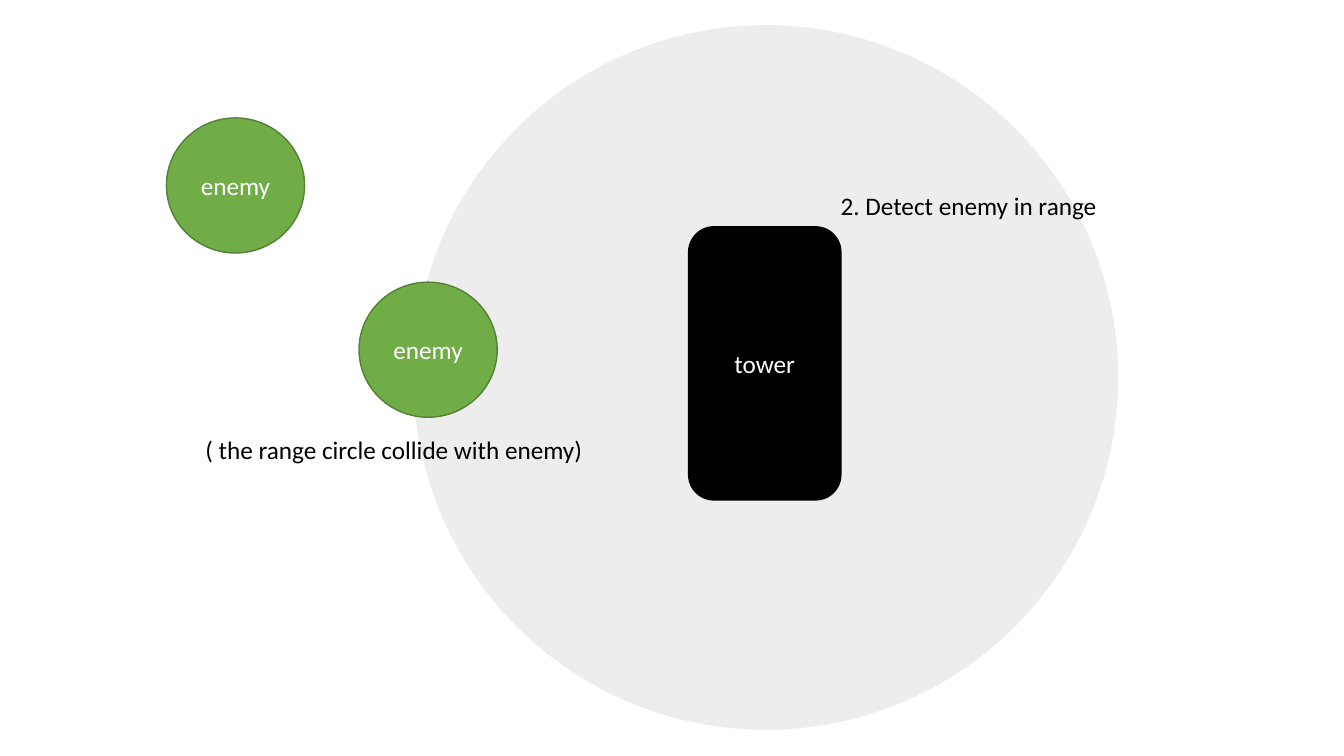
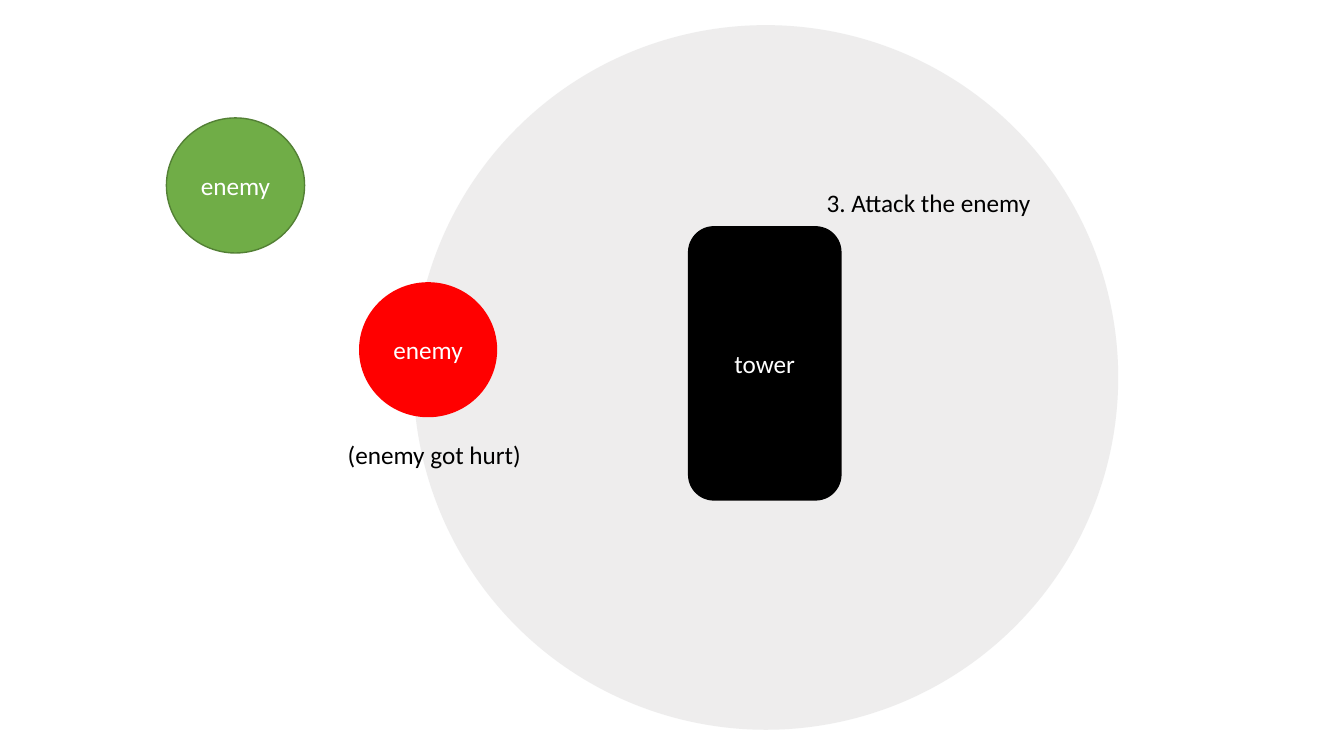
from lxml import etree
from pptx import Presentation
from pptx.dml.color import RGBColor
from pptx.enum.shapes import MSO_SHAPE
from pptx.enum.text import MSO_ANCHOR, MSO_AUTO_SIZE, PP_ALIGN
from pptx.oxml.ns import qn
from pptx.util import Inches, Pt

DISC = MSO_SHAPE.FLOWCHART_CONNECTOR
OVAL = MSO_SHAPE.OVAL
ROUND = MSO_SHAPE.ROUNDED_RECTANGLE
MIDDLE = MSO_ANCHOR.MIDDLE
CENTER = PP_ALIGN.CENTER
GROW = MSO_AUTO_SIZE.SHAPE_TO_FIT_TEXT

WIDE, HIGH = Inches(13.33), Inches(7.5)
FONT, SIZE = "Calibri", 18
BLACK, WHITE, GRAY = "000000", "FFFFFF", "D0CECE"
GREEN, EDGE, RED = "70AD47", "538035", "FF0000"

RANGE = (30.76, 3.33, 52.44, 93.2)
TOWER = (51.24, 30, 11.33, 36.13)
FOE = (10.28, 17.87)
FAR = (12.38, 15.6)
NEAR = (26.71, 37.33)
ROW = 5.33

STEPS = [
    (GREEN, EDGE, [
        ("2. Detect enemy in range", 61.81, 24.53, 24.68),
        ("( the range circle collide with enemy)", 14.55, 56.8, 33.38),
    ]),
    (RED, None, [
        ("3. Attack the enemy", 60.77, 24.13, 17.33),
        ("(enemy got hurt)", 25.13, 57.47, 17.33),
    ]),
]


def rgb(code):
    """Turn a hex string into a colour."""
    return RGBColor.from_string(code)


def place(left, top, width, height):
    """Turn percentages of the slide into lengths."""
    return [round(part * side / 100) for part, side in
            zip((left, top, width, height), (WIDE, HIGH, WIDE, HIGH))]


def write(frame, text, color):
    """Set one line of text in the shared font."""
    frame.text = text
    font = frame.paragraphs[0].runs[0].font
    font.name, font.size = FONT, Pt(SIZE)
    font.color.rgb = rgb(color)


def fade(shape, share):
    """Make a solid fill see-through, with opacity in percent."""
    tint = shape.fill._xPr.find(qn("a:solidFill"))[0]
    etree.SubElement(tint, qn("a:alpha")).set("val", str(share * 1000))


def solid(slide, kind, box, fill, edge=None, text=None):
    """Draw a filled shape with an optional edge and centred label."""
    shape = slide.shapes.add_shape(kind, *place(*box))
    shape.shadow.inherit = False
    shape.fill.solid()
    shape.fill.fore_color.rgb = rgb(fill)
    if edge:
        shape.line.color.rgb = rgb(edge)
        shape.line.width = Pt(1)
    else:
        shape.line.fill.background()
    if text:
        write(shape.text_frame, text, WHITE)
        shape.text_frame.vertical_anchor = MIDDLE
        shape.text_frame.paragraphs[0].alignment = CENTER
    return shape


def note(slide, text, left, top, width):
    """Add a line of plain black text."""
    box = slide.shapes.add_textbox(*place(left, top, width, ROW))
    frame = box.text_frame
    frame.word_wrap = True
    frame.auto_size = GROW
    write(frame, text, BLACK)


def scene(deck, fill, edge, notes):
    """Build one step: range, tower, two enemies and notes."""
    slide = deck.slides.add_slide(deck.slide_layouts[6])
    fade(solid(slide, DISC, RANGE, GRAY), 36)
    solid(slide, ROUND, TOWER, BLACK, BLACK, "tower")
    solid(slide, OVAL, NEAR + FOE, fill, edge, "enemy")
    solid(slide, OVAL, FAR + FOE, GREEN, EDGE, "enemy")
    for item in notes:
        note(slide, *item)


def main():
    """Build and save the deck."""
    deck = Presentation()
    deck.slide_width, deck.slide_height = WIDE, HIGH
    for step in STEPS:
        scene(deck, *step)
    deck.save("out.pptx")


if __name__ == "__main__":
    main()
